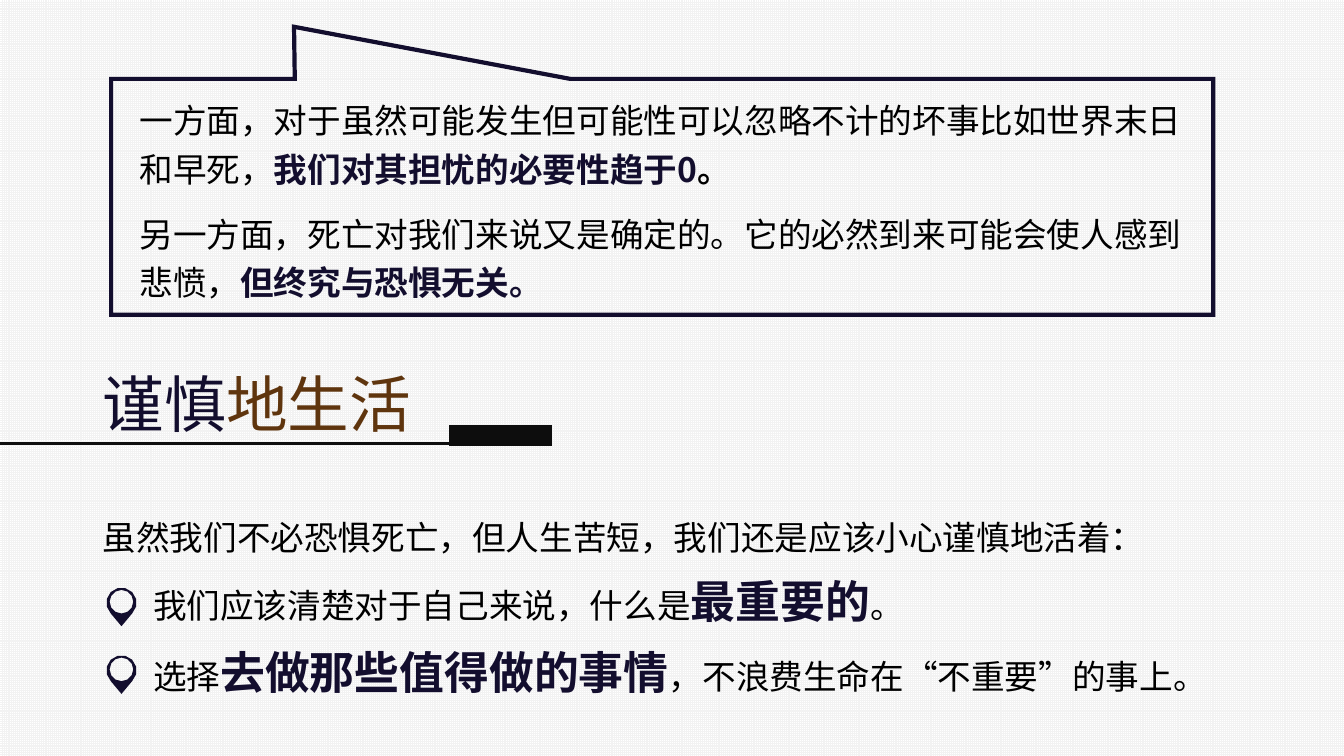
from math import cos, radians, sin

from lxml.etree import SubElement
from pptx import Presentation
from pptx.dml.color import RGBColor
from pptx.enum.dml import MSO_PATTERN
from pptx.enum.shapes import MSO_CONNECTOR, MSO_SHAPE
from pptx.enum.text import MSO_ANCHOR, MSO_AUTO_SIZE, PP_ALIGN
from pptx.oxml.ns import qn
from pptx.util import Inches, Pt

WIDTH, HEIGHT = Inches(13.33), Inches(7.5)
FONT = "Noto Sans CJK SC"
NAVY, BROWN, BLACK, CHARCOAL = "130E2E", "5F350E", "000000", "0D0D0D"
MARGIN = 6.9  # percent of the slide width


def across(percent):
    return round(WIDTH * percent / 100)


def down(percent):
    return round(HEIGHT * percent / 100)


def area(left, top, width, height):
    """Turn percentages of the slide into a left, top, width, height tuple."""
    return across(left), down(top), across(width), down(height)


def color(hex_string):
    return RGBColor.from_string(hex_string)


def add_span(para, text, size=24, hue=BLACK, bold=False):
    span = para.add_run()
    span.text = text
    span.font.name = FONT
    span.font.size = Pt(size)
    span.font.bold = bold
    span.font.color.rgb = color(hue)
    SubElement(span.font._element, qn("a:ea"), typeface=FONT)


def add_text(slide, place, paragraphs, line_spacing=1.0, indent=0):
    """Add a box of paragraphs; all but the first get space before and the indent."""
    frame = slide.shapes.add_textbox(*place).text_frame
    frame.word_wrap = True
    for index, spans in enumerate(paragraphs):
        para = frame.add_paragraph() if index else frame.paragraphs[0]
        para.line_spacing = line_spacing
        if index:
            para.space_before = Pt(12)
            if indent:
                para.level = 1
                properties = para._p.get_or_add_pPr()
                properties.set("marL", str(Inches(indent)))
                properties.set("indent", "0")
        for span in spans:
            add_span(para, *span)


def add_title(slide, place, spans):
    title = slide.shapes.title
    title.left, title.top, title.width, title.height = place
    frame = title.text_frame
    frame.auto_size = MSO_AUTO_SIZE.NONE
    frame.vertical_anchor = MSO_ANCHOR.MIDDLE
    para = frame.paragraphs[0]
    para.alignment = PP_ALIGN.LEFT
    for text, hue in spans:
        add_span(para, text, 44, hue)


def set_outline(shape, hue, points):
    """Give a shape a line with square corners and no shadow."""
    shape.shadow.inherit = False
    shape.line.color.rgb = color(hue)
    shape.line.width = Pt(points)
    SubElement(shape.line._get_or_add_ln(), qn("a:miter"), lim="800000")


def add_callout(slide, place):
    callout = slide.shapes.add_shape(MSO_SHAPE.RECTANGULAR_CALLOUT, *place)
    callout.adjustments[0], callout.adjustments[1] = -0.334, -0.721
    callout.fill.background()
    set_outline(callout, NAVY, 3)


def add_title_rule(slide, end, level):
    """Draw a line from the slide's left edge to a solid block."""
    rule = slide.shapes.add_connector(
        MSO_CONNECTOR.STRAIGHT, across(end), down(level), 0, down(level))
    rule.line.color.rgb = color(CHARCOAL)
    rule.line.width = Pt(2.25)
    SubElement(rule._element.spPr, qn("a:effectLst"))
    block = slide.shapes.add_shape(MSO_SHAPE.RECTANGLE, *area(end, level - 2.2, 7.35, 2.27))
    block.fill.solid()
    block.fill.fore_color.rgb = color(CHARCOAL)
    set_outline(block, CHARCOAL, 2.5)


def arc(center_x, center_y, radius, start, end, step):
    return [(center_x + radius * cos(radians(angle)), center_y + radius * sin(radians(angle)))
            for angle in range(start, end, step)]


def add_pin(slide, center_x, center_y):
    """Draw a map pin: a ring that runs down to a point."""
    radius = Inches(0.15)
    outline = arc(center_x, center_y, radius, 135, 406, 30)
    hole = arc(center_x, center_y - radius * 0.07, radius * 0.78, 360, 0, -30)
    builder = slide.shapes.build_freeform(*outline[0])
    builder.add_line_segments(outline[1:] + [(center_x, center_y + radius * 1.55)])
    builder.move_to(*hole[0])
    builder.add_line_segments(hole[1:])
    pin = builder.convert_to_shape()
    pin.shadow.inherit = False
    pin.fill.solid()
    pin.fill.fore_color.rgb = color(NAVY)
    pin.line.fill.background()


def set_background(slide):
    fill = slide.background.fill
    fill.patterned()
    fill.pattern = MSO_PATTERN.SMALL_GRID
    fill.fore_color.rgb = color("F2F2F2")
    fill.back_color.rgb = color("FFFFFF")


def main():
    deck = Presentation()
    deck.slide_width, deck.slide_height = WIDTH, HEIGHT
    page = deck.slides.add_slide(deck.slide_layouts[5])
    set_background(page)

    add_callout(page, area(8.27, 10.44, 82, 31.2))
    add_text(page, area(9.64, 11.56, 79.15, 29.47), [
        [("一方面，对于虽然可能发生但可能性可以忽略不计的坏事比如世界末日和早死，",),
         ("我们对其担忧的必要性趋于0", 24, NAVY, True),
         ("。", 24, BLACK, True)],
        [("另一方面，死亡对我们来说又是确定的。它的必然到来可能会使人感到悲愤，",),
         ("但终究与恐惧无关。", 24, NAVY, True)],
    ], line_spacing=1.2)

    add_title(page, area(MARGIN, 47.73, 86.27, 11.2), [("谨慎", NAVY), ("地生活", BROWN)])
    add_title_rule(page, 33.56, 58.67)

    add_text(page, area(MARGIN, 67.73, 82, 25.6), [
        [("虽然我们不必恐惧死亡，但人生苦短，我们还是应该小心谨慎地活着：",)],
        [("我们应该清楚对于自己来说，什么是",), ("最重要的", 32, NAVY, True), ("。",)],
        [("选择",), ("去做那些值得做的事情", 32, NAVY, True),
         ("，不浪费生命在“不重要”的事上。",)],
    ], indent=0.5)
    for row in range(2):
        add_pin(page, across(9.04), down(79.73 + row * 8.95))

    deck.save("out.pptx")


if __name__ == "__main__":
    main()
